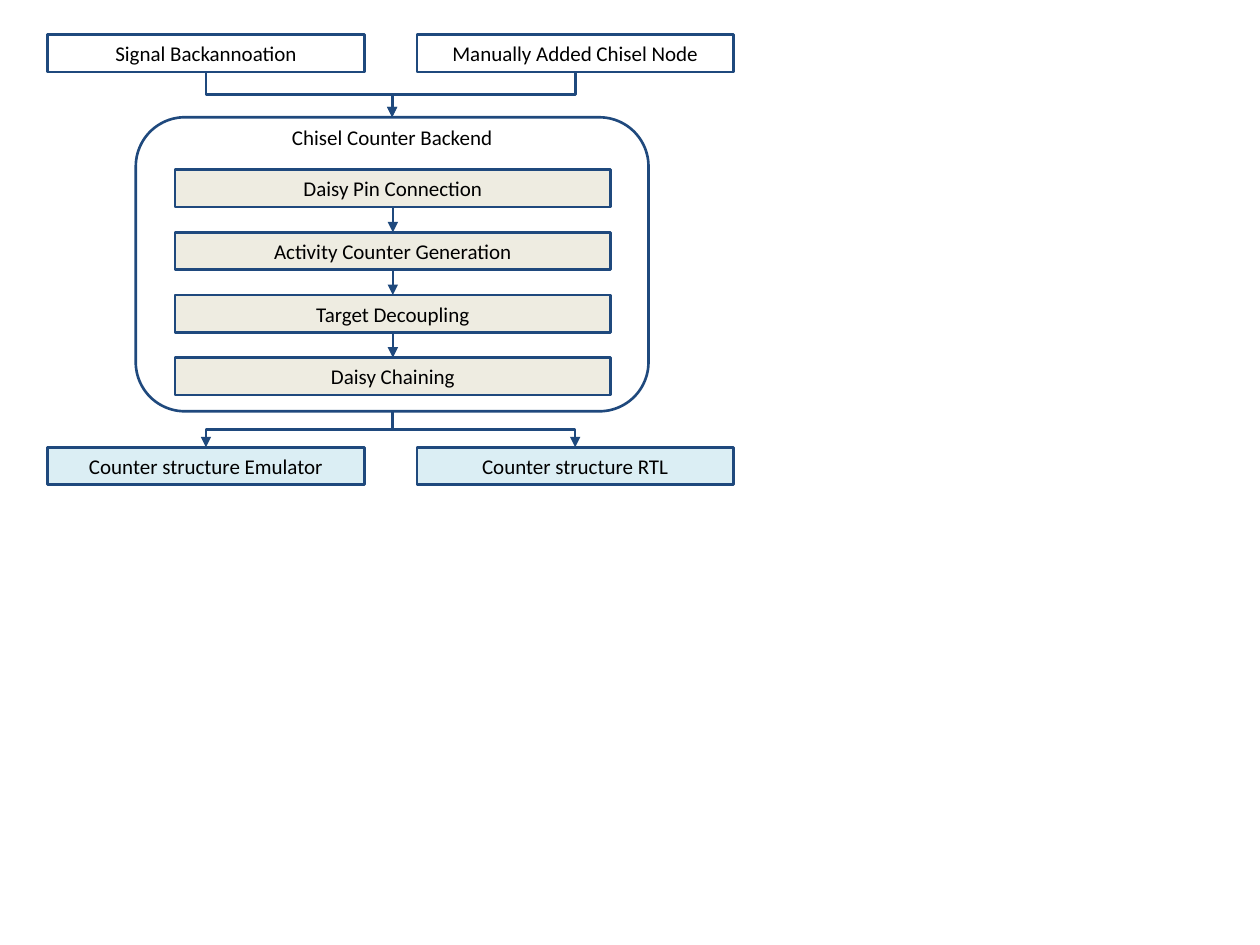
from pptx import Presentation
from pptx.dml.color import RGBColor
from pptx.enum.shapes import MSO_CONNECTOR as CONNECTOR, MSO_SHAPE as SHAPE
from pptx.enum.text import MSO_ANCHOR as ANCHOR, PP_ALIGN as ALIGN
from pptx.oxml.ns import qn
from pptx.util import Pt
from lxml.etree import SubElement

NAVY = RGBColor(0x1F, 0x49, 0x7D)
BLACK = RGBColor(0, 0, 0)
WHITE = RGBColor(0xFF, 0xFF, 0xFF)
BEIGE = RGBColor(0xEE, 0xEC, 0xE1)
PALE_BLUE = RGBColor(0xDB, 0xEE, 0xF4)
BOX_HEIGHT = 21.4
TOP, BOTTOM = 0, 2


def add_box(text, left, top, width, fill):
    if fill is None:
        shape = slide.shapes.add_textbox(Pt(left), Pt(top), Pt(width), Pt(BOX_HEIGHT))
    else:
        shape = slide.shapes.add_shape(SHAPE.RECTANGLE, Pt(left), Pt(top), Pt(width), Pt(BOX_HEIGHT))
        shape.shadow.inherit = False
        shape.fill.solid()
        shape.fill.fore_color.rgb = fill
        shape.line.color.rgb = NAVY
        shape.line.width = Pt(1.5)
    frame = shape.text_frame
    frame.text = text
    frame.word_wrap = True
    frame.vertical_anchor = ANCHOR.MIDDLE
    frame.margin_top = frame.margin_bottom = 0
    paragraph = frame.paragraphs[0]
    paragraph.alignment = ALIGN.CENTER
    font = paragraph.runs[0].font
    font.name, font.size, font.color.rgb = "Calibri", Pt(12), BLACK
    return shape


def add_arrow(kind, source, target):
    connector = slide.shapes.add_connector(kind, 0, 0, 0, 0)
    connector.begin_connect(source, BOTTOM)
    connector.end_connect(target, TOP)
    connector.line.color.rgb = NAVY
    connector.line.width = Pt(1.5)
    properties = connector._element.spPr
    SubElement(connector.line._get_or_add_ln(), qn("a:tailEnd"), type="triangle")
    SubElement(properties, qn("a:effectLst"))
    if kind == CONNECTOR.ELBOW:
        start_x, start_y = source.left + source.width // 2, source.top + source.height
        end_x, end_y = target.left + target.width // 2, target.top
        drop, run = end_y - start_y, abs(end_x - start_x)
        connector.left = (start_x + end_x - drop) // 2
        connector.top = (start_y + end_y - run) // 2
        connector.width, connector.height = drop, run
        goes_right = end_x > start_x
        transform = properties.xfrm
        transform.rot = 270 if goes_right else 90
        transform.flipH, transform.flipV = goes_right, False


presentation = Presentation()
presentation.slide_width, presentation.slide_height = Pt(720), Pt(540)
slide = presentation.slides.add_slide(presentation.slide_layouts[6])

backend = slide.shapes.add_shape(SHAPE.ROUNDED_RECTANGLE, Pt(77.6), Pt(67), Pt(293), Pt(168))
backend.adjustments[0] = 0.167
backend.shadow.inherit = False
backend.fill.background()
backend.line.color.rgb = NAVY
backend.line.width = Pt(1.5)
add_box("Chisel Counter Backend", 141.6, 67.4, 165, None)

columns = (27.2, 238.2)
inputs = [add_box(text, left, 19.8, 181, WHITE)
          for text, left in zip(("Signal Backannoation", "Manually Added Chisel Node"), columns)]
outputs = [add_box(text, left, 255.6, 181, PALE_BLUE)
           for text, left in zip(("Counter structure Emulator", "Counter structure RTL"), columns)]

step_names = ("Daisy Pin Connection", "Activity Counter Generation", "Target Decoupling", "Daisy Chaining")
steps = [add_box(name, 100, 97 + index * 35.8, 249, BEIGE) for index, name in enumerate(step_names)]

for upper, lower in zip(steps, steps[1:]):
    add_arrow(CONNECTOR.STRAIGHT, upper, lower)
for box in inputs:
    add_arrow(CONNECTOR.ELBOW, box, backend)
for box in outputs:
    add_arrow(CONNECTOR.ELBOW, backend, box)

presentation.save("out.pptx")
